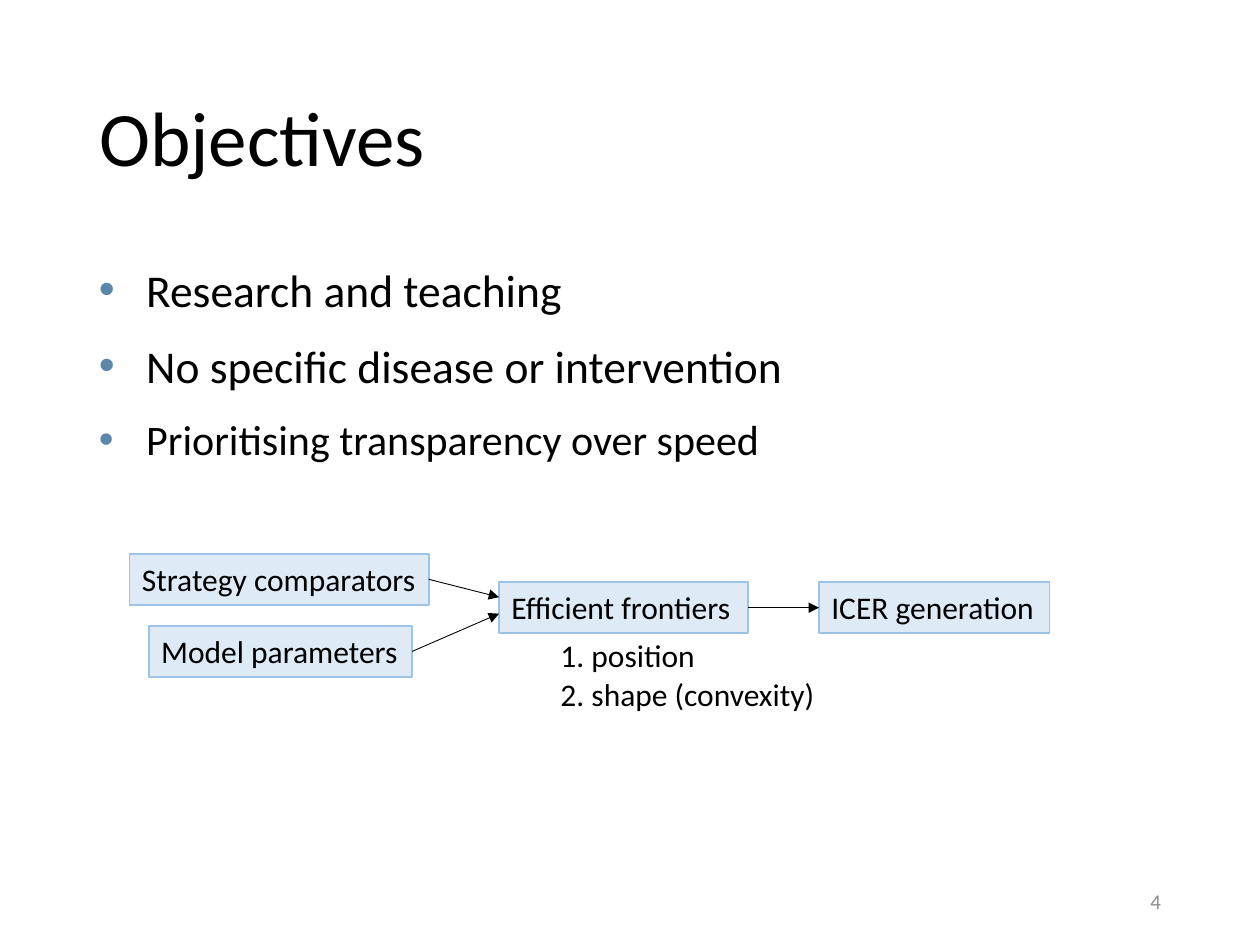
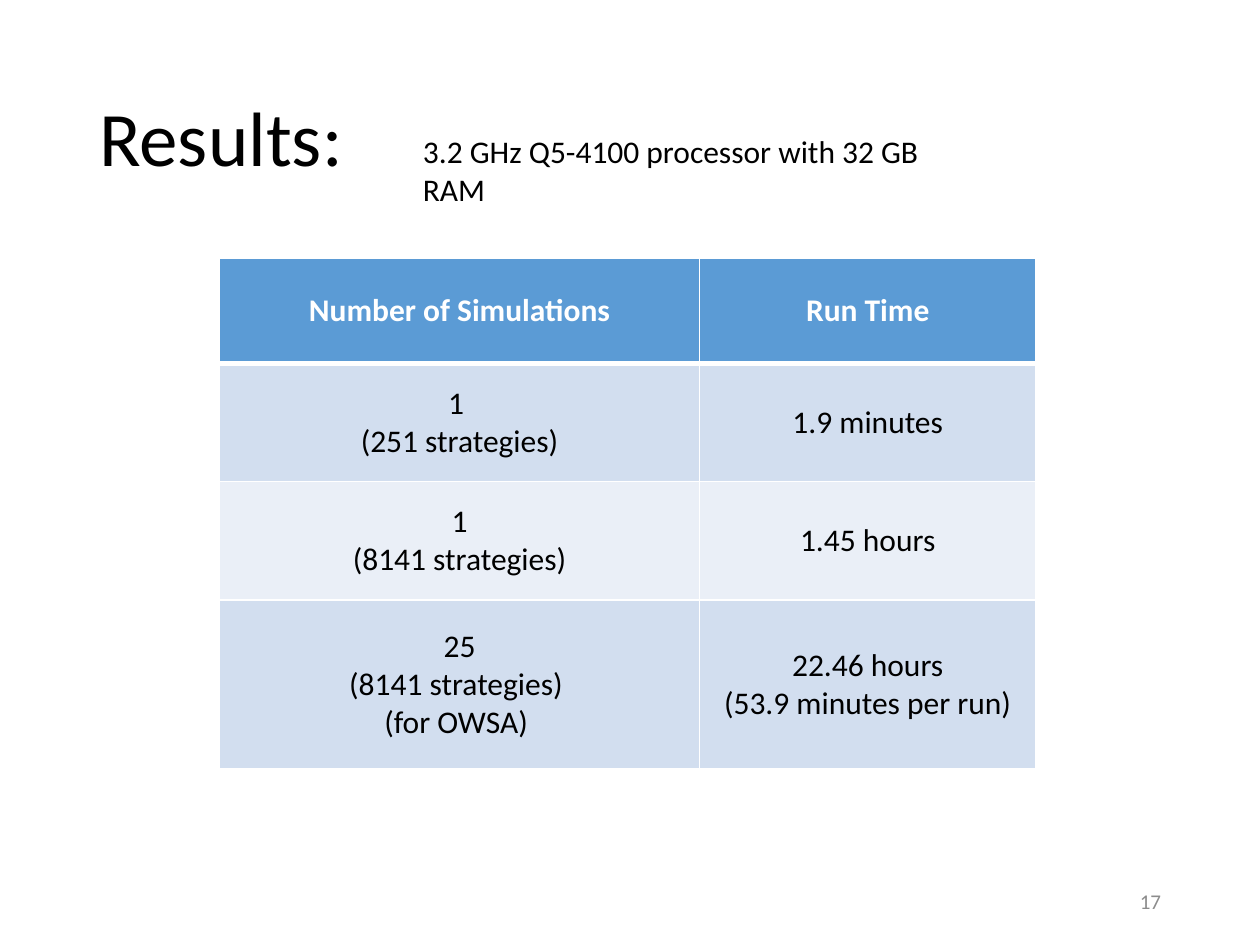
import dataclasses

import lxml.etree
import pptx
import pptx.dml.color
import pptx.enum.shapes
import pptx.enum.text
import pptx.oxml.ns
import pptx.util

Pt = pptx.util.Pt
qn = pptx.oxml.ns.qn
Align = pptx.enum.text.PP_ALIGN
Anchor = pptx.enum.text.MSO_ANCHOR

FONT = "Calibri"
INK, WHITE, PAGE_GREY = "000000", "FFFFFF", "8C8C8C"
BULLET, BOX_FILL, BOX_LINE = "5D86AB", "DEEBF7", "9DC3E6"
HEADER_FILL, BAND_FILLS = "5B9BD5", ("D2DEEF", "EAEFF7")
MARGIN, CONTENT_WIDTH = 49.5, 621
LABEL_HEIGHT = 29.1


@dataclasses.dataclass(frozen=True)
class Label:
    text: str
    left: float
    top: float
    width: float
    boxed: bool = False

    @property
    def right(self) -> float:
        return self.left + self.width

    @property
    def middle(self) -> float:
        return self.top + LABEL_HEIGHT / 2


@dataclasses.dataclass(frozen=True)
class Arrow:
    source: Label
    target: Label
    offset: float = 0


@dataclasses.dataclass(frozen=True)
class Objective:
    text: str
    size: float


STRATEGIES = Label("Strategy comparators", 74, 316.5, 171, True)
PARAMETERS = Label("Model parameters", 85, 357.7, 150.5, True)
FRONTIERS = Label("Efficient frontiers", 285.2, 332.7, 142.2, True)
ICER = Label("ICER generation", 468, 332.7, 131.8, True)
FRONTIER_NOTES = (
    Label("1. position", 313.2, 360, 96.5),
    Label("2. shape (convexity)", 313.2, 382, 162.7),
)
ARROWS = (
    Arrow(STRATEGIES, FRONTIERS, -6),
    Arrow(PARAMETERS, FRONTIERS, 3.4),
    Arrow(FRONTIERS, ICER),
)
OBJECTIVES = (
    Objective("Research and teaching", 26),
    Objective("No specific disease or intervention", 26),
    Objective("Prioritising transparency over speed", 24),
)
HARDWARE = Label("3.2 GHz Q5-4100 processor with 32 GB RAM", 234.6, 72, 333.4)
RUN_TIMES = (
    ("Number of Simulations", "Run Time"),
    ("1 \n(251 strategies)", "1.9 minutes"),
    ("1\n(8141 strategies)", "1.45 hours"),
    ("25\n(8141 strategies) \n(for OWSA) ", "22.46 hours\n(53.9 minutes per run)"),
)
COLUMN_WIDTHS = (274.3, 192.2)
ROW_HEIGHTS = (59.8, 67.7, 67.7, 96.6)


def colour(code: str) -> pptx.dml.color.RGBColor:
    return pptx.dml.color.RGBColor.from_string(code)


def format_text(frame, size: float, code: str = INK, align=Align.LEFT, bold: bool = False) -> None:
    for paragraph in frame.paragraphs:
        paragraph.alignment = align
        for run in paragraph.runs:
            run.font.name = FONT
            run.font.size = Pt(size)
            run.font.bold = bold
            run.font.color.rgb = colour(code)


def add_titled_slide(deck, title: str, page: int):
    slide = deck.slides.add_slide(deck.slide_layouts[5])
    heading = slide.shapes.title
    heading.left, heading.top = Pt(MARGIN), Pt(28.8)
    heading.width, heading.height = Pt(CONTENT_WIDTH), Pt(104.4)
    heading.text_frame.text = title
    heading.text_frame.vertical_anchor = Anchor.MIDDLE
    heading.text_frame.paragraphs[0].line_spacing = 0.9
    format_text(heading.text_frame, 44)

    page_number = slide.shapes.add_textbox(Pt(508.5), Pt(500.5), Pt(162), Pt(28.8)).text_frame
    page_number.word_wrap = True
    page_number.text = str(page)
    page_number.vertical_anchor = Anchor.MIDDLE
    format_text(page_number, 12, PAGE_GREY, Align.RIGHT)
    return slide


def add_objectives(slide) -> None:
    frame = slide.shapes.add_textbox(Pt(MARGIN), Pt(144), Pt(CONTENT_WIDTH), Pt(342.7)).text_frame
    frame.word_wrap = True
    frame.text = "\n".join(objective.text for objective in OBJECTIVES)
    format_text(frame, 26)
    for paragraph, objective in zip(frame.paragraphs, OBJECTIVES):
        paragraph.runs[0].font.size = Pt(objective.size)
        paragraph.line_spacing = 1.07
        paragraph.space_before = Pt(10)
        properties = paragraph._p.get_or_add_pPr()
        properties.set("marL", str(Pt(27)))
        properties.set("indent", str(Pt(-27)))
        bullet_colour = lxml.etree.SubElement(properties, qn("a:buClr"))
        lxml.etree.SubElement(bullet_colour, qn("a:srgbClr"), val=BULLET)
        lxml.etree.SubElement(properties, qn("a:buFont"), typeface="Arial")
        lxml.etree.SubElement(properties, qn("a:buChar"), char="•")


def add_label(slide, label: Label) -> None:
    place = [Pt(v) for v in (label.left, label.top, label.width, LABEL_HEIGHT)]
    if label.boxed:
        shape = slide.shapes.add_shape(pptx.enum.shapes.MSO_SHAPE.RECTANGLE, *place)
        shape.shadow.inherit = False
        shape.fill.solid()
        shape.fill.fore_color.rgb = colour(BOX_FILL)
        shape.line.color.rgb = colour(BOX_LINE)
        shape.line.width = Pt(1)
    else:
        shape = slide.shapes.add_textbox(*place)
    frame = shape.text_frame
    frame.word_wrap = False
    frame.auto_size = pptx.enum.text.MSO_AUTO_SIZE.SHAPE_TO_FIT_TEXT
    frame.vertical_anchor = Anchor.TOP
    frame.text = label.text
    format_text(frame, 18)


def add_arrow(slide, arrow: Arrow) -> None:
    connector = slide.shapes.add_connector(
        pptx.enum.shapes.MSO_CONNECTOR.STRAIGHT,
        Pt(arrow.source.right),
        Pt(arrow.source.middle),
        Pt(arrow.target.left),
        Pt(arrow.target.middle + arrow.offset),
    )
    connector.line.color.rgb = colour(INK)
    connector.line.width = Pt(0.5)
    lxml.etree.SubElement(connector.line._get_or_add_ln(), qn("a:tailEnd"), type="triangle")
    lxml.etree.SubElement(connector._element.spPr, qn("a:effectLst"))


def add_borders(cell, top: float, bottom: float) -> None:
    properties = cell._tc.get_or_add_tcPr()
    for side, width in (("L", 1), ("R", 1), ("T", top), ("B", bottom)):
        line = lxml.etree.SubElement(properties, qn(f"a:ln{side}"), w=str(Pt(width)))
        fill = lxml.etree.SubElement(line, qn("a:solidFill"))
        lxml.etree.SubElement(fill, qn("a:srgbClr"), val=WHITE)


def add_run_times(slide) -> None:
    table = slide.shapes.add_table(
        len(RUN_TIMES), len(COLUMN_WIDTHS),
        Pt(125.5), Pt(147.8), Pt(sum(COLUMN_WIDTHS)), Pt(sum(ROW_HEIGHTS)),
    ).table
    for column, width in zip(table.columns, COLUMN_WIDTHS):
        column.width = Pt(width)
    for index, (height, texts) in enumerate(zip(ROW_HEIGHTS, RUN_TIMES)):
        table.rows[index].height = Pt(height)
        is_header = index == 0
        for column_index, text in enumerate(texts):
            cell = table.cell(index, column_index)
            cell.text_frame.text = text
            cell.vertical_anchor = Anchor.MIDDLE
            add_borders(cell, 3 if index == 1 else 1, 3 if is_header else 1)
            cell.fill.solid()
            cell.fill.fore_color.rgb = colour(HEADER_FILL if is_header else BAND_FILLS[(index - 1) % 2])
            format_text(cell.text_frame, 18, WHITE if is_header else INK, Align.CENTER, is_header)


def main() -> None:
    deck = pptx.Presentation()
    deck.slide_width, deck.slide_height = Pt(720), Pt(540)

    objectives = add_titled_slide(deck, "Objectives", 4)
    add_objectives(objectives)
    for label in (STRATEGIES, PARAMETERS, FRONTIERS, ICER, *FRONTIER_NOTES):
        add_label(objectives, label)
    for arrow in ARROWS:
        add_arrow(objectives, arrow)

    results = add_titled_slide(deck, "Results:", 17)
    add_run_times(results)
    add_label(results, HARDWARE)

    deck.save("out.pptx")


if __name__ == "__main__":
    main()
